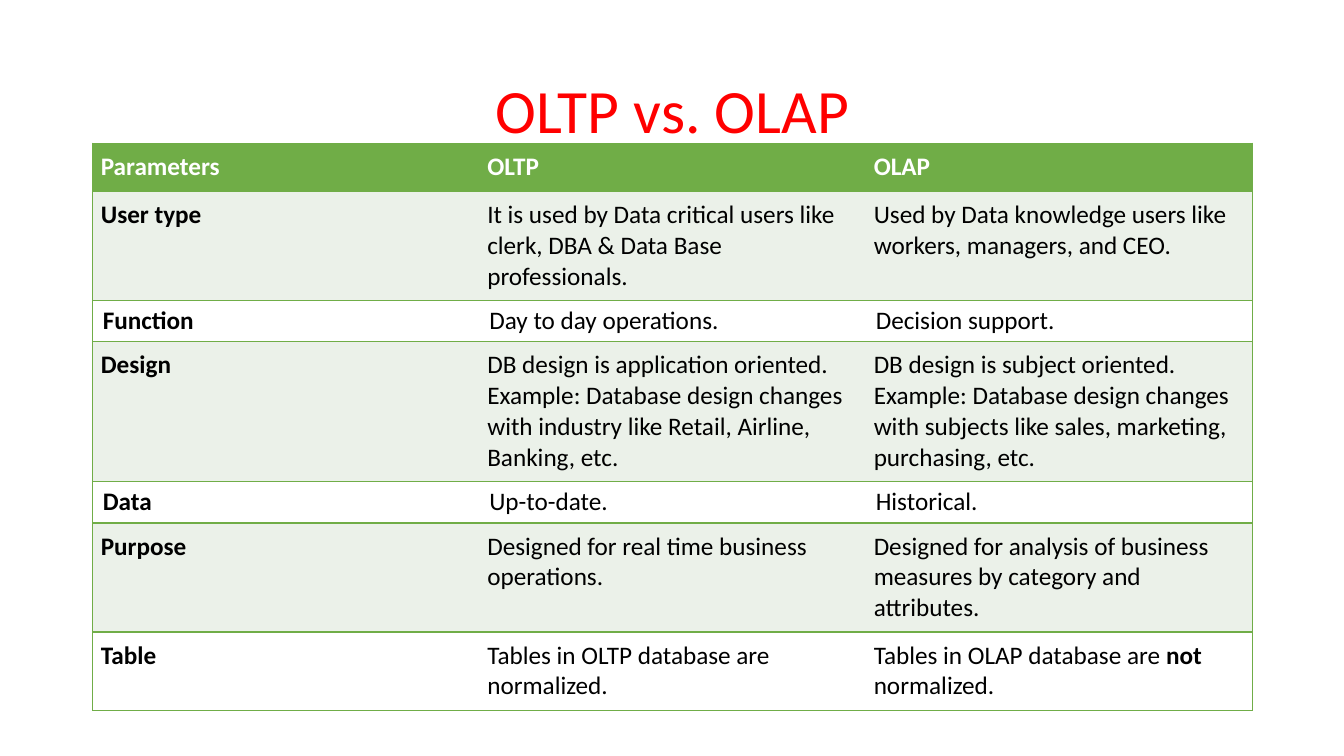
from lxml import etree
from pptx import Presentation
from pptx.dml.color import RGBColor
from pptx.enum.text import MSO_ANCHOR, PP_ALIGN
from pptx.oxml.ns import qn
from pptx.util import Inches, Pt

CENTER = PP_ALIGN.CENTER
MIDDLE = MSO_ANCHOR.MIDDLE
RED = RGBColor(0xFF, 0x00, 0x00)
GREEN = RGBColor(0x70, 0xAD, 0x47)
PALE = RGBColor(0xEB, 0xF1, 0xE9)
WHITE = RGBColor(0xFF, 0xFF, 0xFF)
BLACK = RGBColor(0x00, 0x00, 0x00)

LEFT, WIDTH = 0.92, 11.5
PAD = 0.08
SIDES = ("margin_left", "margin_right", "margin_top", "margin_bottom")

# Height, whether the cells have even padding, and the three texts.
# A text given as a tuple alternates plain and bold parts.
ROWS = [
    (0.48, True, ["Parameters", "OLTP", "OLAP"]),
    (1.08, True, [
        "User type",
        "It is used by Data critical users like clerk, DBA & Data Base professionals.",
        "Used by Data knowledge users like workers, managers, and CEO."]),
    (0.41, False, ["Function", "Day to day operations.", "Decision support."]),
    (1.39, True, [
        "Design",
        "DB design is application oriented. Example: Database design changes "
        "with industry like Retail, Airline, Banking, etc.",
        "DB design is subject oriented. Example: Database design changes "
        "with subjects like sales, marketing, purchasing, etc."]),
    (0.41, False, ["Data", "Up-to-date.", "Historical."]),
    (1.08, True, [
        "Purpose",
        "Designed for real time business operations.",
        "Designed for analysis of business measures by category and attributes."]),
    (0.78, True, [
        "Table",
        "Tables in OLTP database are normalized.",
        ("Tables in OLAP database are ", "not", " normalized.")]),
]


def add_run(para, text, color, **form):
    run = para.add_run()
    run.text = text
    run.font.color.rgb = color
    for name, value in {"name": "Calibri", **form}.items():
        setattr(run.font, name, value)


def add_title(slide, text):
    box = slide.shapes.add_textbox(
        Inches(LEFT), Inches(0.4), Inches(WIDTH), Inches(1.45))
    frame = box.text_frame
    frame.word_wrap = True
    frame.vertical_anchor = MIDDLE
    para = frame.paragraphs[0]
    para.alignment = CENTER
    para.line_spacing = 0.9
    add_run(para, text, RED, size=Pt(44))


def set_edges(cell, shown):
    """Draw the shown sides (of L, R, T, B) in green and hide the others."""
    props = cell._tc.get_or_add_tcPr()
    for spot, side in enumerate("LRTB"):
        line = etree.Element(qn(f"a:ln{side}"), w=str(Pt(1)))
        if side in shown:
            fill = etree.SubElement(line, qn("a:solidFill"))
            etree.SubElement(fill, qn("a:srgbClr"), val=str(GREEN))
        else:
            etree.SubElement(line, qn("a:noFill"))
        props.insert(spot, line)


def fill_cell(cell, text, row, col, padded):
    head = row == 0
    cell.fill.solid()
    cell.fill.fore_color.rgb = GREEN if head else PALE if row % 2 else WHITE
    if padded:
        for side in SIDES:
            setattr(cell, side, Inches(PAD))
    parts = (text,) if isinstance(text, str) else text
    for spot, part in enumerate(parts):
        bold = head or col == 0 or spot % 2 == 1
        add_run(cell.text_frame.paragraphs[0], part,
                WHITE if head else BLACK, size=Pt(18), bold=bold)
    set_edges(cell, "TB" + ("L", "", "R")[col])


def add_grid(slide):
    total = sum(height for height, _, _ in ROWS)
    table = slide.shapes.add_table(
        len(ROWS), 3, Inches(LEFT), Inches(1.42),
        Inches(WIDTH), Inches(total)).table
    for row, (height, padded, texts) in enumerate(ROWS):
        table.rows[row].height = Inches(height)
        for col, text in enumerate(texts):
            fill_cell(table.cell(row, col), text, row, col, padded)


def main():
    deck = Presentation()
    deck.slide_width = Inches(13.33)
    deck.slide_height = Inches(7.5)
    slide = deck.slides.add_slide(deck.slide_layouts[6])
    add_title(slide, "OLTP vs. OLAP")
    add_grid(slide)
    deck.save("out.pptx")


if __name__ == "__main__":
    main()
